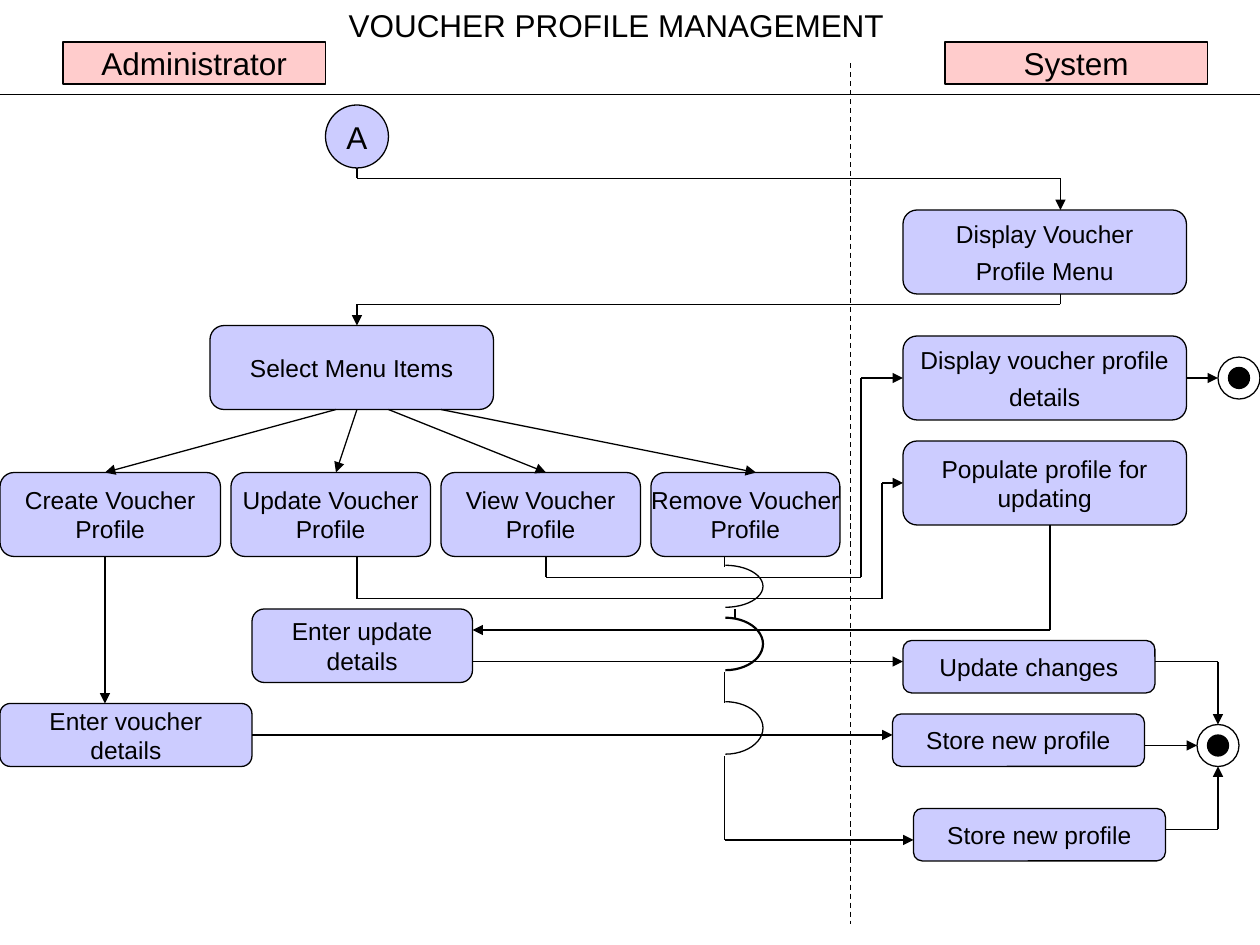
import pptx
import pptx.util
import pptx.dml.color
import pptx.enum.dml
import pptx.enum.shapes
import pptx.enum.text
import pptx.oxml.ns
from dataclasses import dataclass
from itertools import pairwise
from lxml import etree

Pt = pptx.util.Pt
Kind = pptx.enum.shapes.MSO_SHAPE
Text = pptx.enum.text
Dash = pptx.enum.dml.MSO_LINE


@dataclass
class Theme:
    font: str = "Arial"
    big: int = 18
    small: int = 14
    ink: str = "000000"
    paper: str = "FFFFFF"
    step: str = "CCCCFF"
    lane: str = "FFCCCC"
    line: float = 0.74
    bold: float = 1.25


def apply(obj, style):
    for key, value in style.items():
        setattr(obj, key, value)


def color(code):
    return pptx.dml.color.RGBColor.from_string(code)


class Chart:
    def __init__(self, slide, theme):
        self.slide, self.theme = slide, theme

    def stroke(self, line, width=None):
        line.color.rgb = color(self.theme.ink)
        line.width = Pt(width or self.theme.line)

    def label(self, frame, text, size, align, gap=0, wrap=False):
        apply(frame, {"word_wrap": wrap, "vertical_anchor": Text.MSO_ANCHOR.MIDDLE,
                      "auto_size": Text.MSO_AUTO_SIZE.NONE})
        frame.text = text
        for i, para in enumerate(frame.paragraphs):
            apply(para, {"alignment": align, "space_before": Pt(gap if i else 0)})
            apply(para.font, {"name": self.theme.font, "size": Pt(size)})
            para.font.color.rgb = color(self.theme.ink)

    def title(self, text, *box):
        shape = self.slide.shapes.title
        apply(shape, dict(zip(("left", "top", "width", "height"), map(Pt, box))))
        self.label(shape.text_frame, text, self.theme.big, Text.PP_ALIGN.LEFT, wrap=True)

    def shape(self, kind, box, fill, text="", size=None, gap=0):
        shape = self.slide.shapes.add_shape(kind, *map(Pt, box))
        shape.shadow.inherit = False
        shape.fill.solid()
        shape.fill.fore_color.rgb = color(fill)
        self.stroke(shape.line)
        if text:
            self.label(shape.text_frame, text, size, Text.PP_ALIGN.CENTER, gap)

    def step(self, text, *box, gap=0):
        self.shape(Kind.FLOWCHART_ALTERNATE_PROCESS, box, self.theme.step,
                   text, self.theme.small, gap)

    def final(self, left, top):
        self.shape(Kind.OVAL, (left, top, 24, 24), self.theme.paper)
        self.shape(Kind.OVAL, (left + 6, top + 6, 12, 12), self.theme.ink)

    def route(self, *points, arrow=True, dash=None):
        for start, end in pairwise(points):
            line = self.slide.shapes.add_connector(
                pptx.enum.shapes.MSO_CONNECTOR.STRAIGHT, *map(Pt, start + end))
            self.stroke(line.line)
            if dash:
                line.line.dash_style = dash
            if arrow and end == points[-1]:
                edge = line._element.spPr.find(pptx.oxml.ns.qn("a:ln"))
                tail = etree.SubElement(edge, pptx.oxml.ns.qn("a:tailEnd"))
                tail.set("type", "triangle")
            etree.SubElement(line._element.spPr, pptx.oxml.ns.qn("a:effectLst"))

    def hop(self, top, high, width=None):
        arc = self.slide.shapes.add_shape(Kind.ARC, Pt(393), Pt(top), Pt(43), Pt(high))
        arc.shadow.inherit = False
        arc.fill.background()
        arc.adjustments[0], arc.adjustments[1] = 162, 54
        self.stroke(arc.line, width)


deck = pptx.Presentation()
apply(deck, {"slide_width": Pt(720), "slide_height": Pt(540)})
theme = Theme()
chart = Chart(deck.slides.add_slide(deck.slide_layouts[5]), theme)

# Title and lanes
chart.title("VOUCHER PROFILE MANAGEMENT", 192, 0, 354, 29)
for name, left in (("Administrator", 36), ("System", 540)):
    chart.shape(Kind.RECTANGLE, (left, 24, 150, 24), theme.lane, name, theme.big)
chart.route((0, 54), (720, 54), arrow=False)
chart.route((486, 36), (486, 528), arrow=False, dash=Dash.DASH)

# Start and end nodes
chart.shape(Kind.OVAL, (186, 60, 36, 36), theme.step, "A", theme.big)
chart.final(696, 204)
chart.final(684, 414)

# Administrator steps
chart.step("Select Menu Items", 120, 186, 162, 48)
for verb, left, wide in (("Create", 0, 126), ("Update", 132, 114),
                         ("View", 252, 114), ("Remove", 372, 108)):
    chart.step(f"{verb} Voucher\nProfile", left, 270, wide, 48)
chart.step("Enter update\ndetails", 144, 348, 126, 42)
chart.step("Enter voucher\ndetails", 0, 402, 144, 36)

# System steps
for text, top, gap in (("Display Voucher\nProfile Menu", 120, 4.6),
                       ("Display voucher profile\ndetails", 192, 4.6),
                       ("Populate profile for\nupdating", 252, 0)):
    chart.step(text, 516, top, 162, 48, gap=gap)
for text, left, top in (("Update changes", 516, 366), ("Store new profile", 510, 408),
                        ("Store new profile", 522, 462)):
    chart.step(text, left, top, 144, 30)

# Menu flow
chart.route((204, 96), (204, 102), (606, 102), (606, 120))
chart.route((606, 168), (606, 174), (204, 174), (204, 186))
for start, end in ((192, 60), (204, 192), (222, 312), (252, 432)):
    chart.route((start, 234), (end, 270))

# View and update flows
chart.route((312, 318), (312, 330), (492, 330), (492, 216), (516, 216))
chart.route((678, 216), (696, 216))
chart.route((204, 318), (204, 342), (504, 342), (504, 276), (516, 276))
chart.route((600, 300), (600, 360), (270, 360))
chart.route((270, 378), (516, 378))
chart.route((660, 378), (696, 378), (696, 414))

# Create flow
chart.route((60, 318), (60, 402))
chart.route((144, 420), (510, 420))
chart.route((654, 426), (684, 426))

# Remove flow, hopping over the crossing lines
for left, top, end in ((414, 318, 324), (420, 348, 354), (414, 384, 402)):
    chart.route((left, top), (left, end), arrow=False)
chart.hop(323, 24)
chart.hop(353, 30, theme.bold)
chart.hop(401, 30)
chart.route((414, 432), (414, 480), (522, 480))
chart.route((666, 474), (696, 474), (696, 438))

deck.save("out.pptx")
